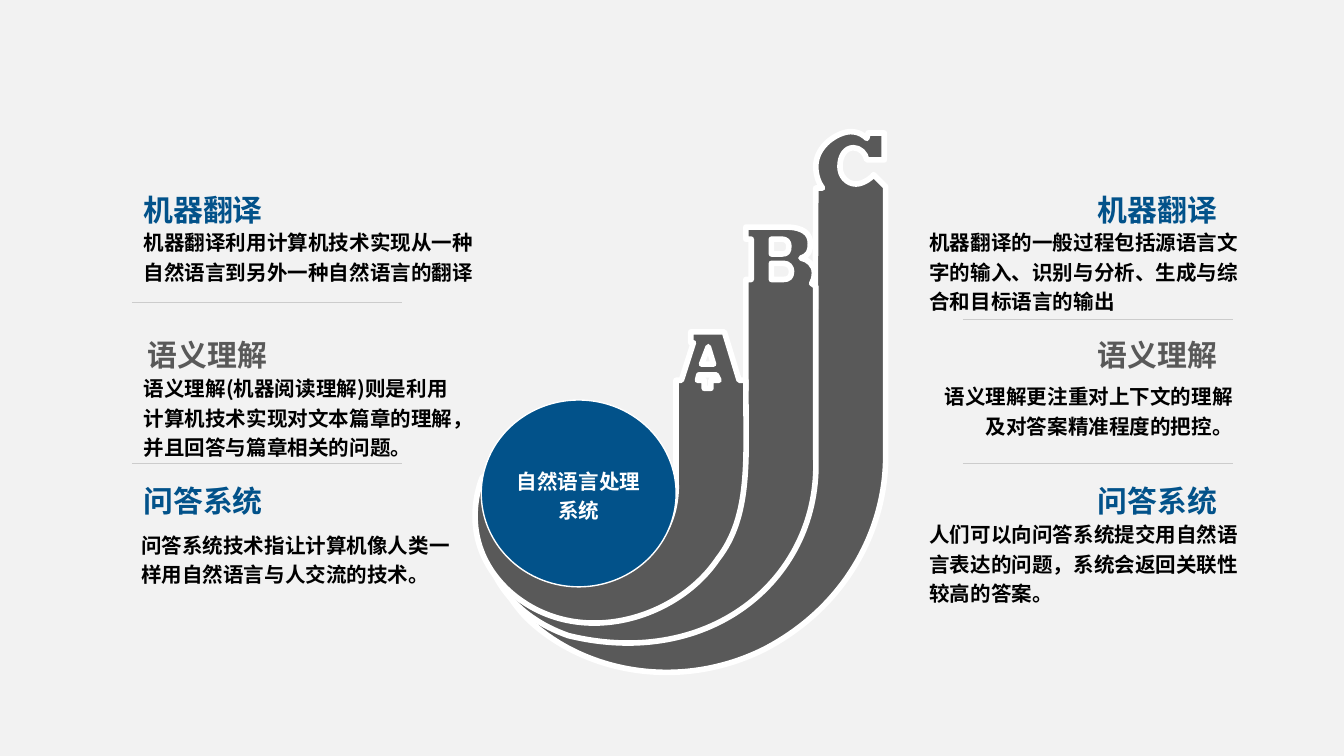
from dataclasses import dataclass

from lxml import etree
from pptx import Presentation
from pptx.dml.color import RGBColor
from pptx.enum.shapes import MSO_CONNECTOR, MSO_SHAPE
from pptx.enum.text import MSO_ANCHOR, PP_ALIGN
from pptx.oxml.ns import qn
from pptx.util import Pt

LEFT, CENTER, RIGHT = PP_ALIGN.LEFT, PP_ALIGN.CENTER, PP_ALIGN.RIGHT
STRAIGHT, OVAL, RECTANGLE = MSO_CONNECTOR.STRAIGHT, MSO_SHAPE.OVAL, MSO_SHAPE.RECTANGLE
MIDDLE, TOP = MSO_ANCHOR.MIDDLE, MSO_ANCHOR.TOP

BLUE, GRAY, WHITE, BLACK = "02528A", "595959", "FFFFFF", "000000"
RULE, BACKDROP = "CCCCCC", "F2F2F2"
LATIN, CJK = "Calibri", "Noto Sans CJK SC"
GRID = 0.72  # points per unit of the band outlines
ROW_TOP, ROW_PITCH = 102.6, 78
ROW_COLORS = (BLUE, GRAY, BLUE)


@dataclass
class Topic:
    heading: str
    heading_x: float
    body: str
    body_box: tuple
    body_align: PP_ALIGN = LEFT


@dataclass
class Column:
    heading_align: PP_ALIGN
    topics: list
    rule_x: float
    rule_ys: tuple


@dataclass
class Band:
    """Contours list steps: two numbers are a corner, six a Bézier curve."""
    contours: list
    closed: bool = False


COLUMNS = [
    Column(LEFT, [
        Topic("机器翻译", 77, "机器翻译利用计算机技术实现从一种自然语言到另外一种自然语言的翻译",
              (77, 120.6, 182.2, 50.4)),
        Topic("语义理解", 79.2,
              "语义理解(机器阅读理解)则是利用计算机技术实现对文本篇章的理解，并且回答与篇章相关的问题。",
              (77, 198.9, 168.5, 59.8)),
        Topic("问答系统", 77, "问答系统技术指让计算机像人类一样用自然语言与人交流的技术。",
              (75.6, 282.8, 172.8, 43.2)),
    ], 70.6, (162.2, 248.4)),
    Column(RIGHT, [
        Topic("机器翻译", 497.9,
              "机器翻译的一般过程包括源语言文字的输入、识别与分析、生成与综合和目标语言的输出",
              (497.9, 120.6, 173.5, 49)),
        Topic("语义理解", 497.9, "语义理解更注重对上下文的理解及对答案精准程度的把控。",
              (498, 203.2, 162.6, 42.5), RIGHT),
        Topic("问答系统", 497.9, "人们可以向问答系统提交用自然语言表达的问题，系统会返回关联性较高的答案。",
              (497.9, 277, 173.5, 49)),
    ], 515.8, (171.2, 248.4)),
]

BAND_C = Band([[
    (659, 139), (650, 130), (650, 131, 643, 137, 637, 137),
    (630, 137, 625, 131, 625, 124), (625, 116, 629, 110, 635, 110),
    (640, 110, 644, 114, 645, 119), (658, 119), (658, 99), (646, 99), (645, 103),
    (644, 102, 640, 98, 633, 98), (624, 98, 607, 108, 607, 124),
    (607, 130, 609, 136, 612, 140), (607, 140), (606, 357), (532, 426),
    (439, 454), (366, 363), (366, 363, 352, 419, 392, 460),
    (433, 500, 505, 515, 569, 483), (632, 450, 659, 391, 659, 340), (659, 139),
]])
BAND_B = Band([
    [(607, 340), (607, 213), (604, 211), (605, 209, 606, 207, 606, 203),
     (606, 197, 601, 193, 596, 192), (602, 190, 603, 187, 603, 181),
     (603, 174, 598, 169, 585, 169), (555, 169), (555, 178), (559, 178),
     (559, 208), (555, 208), (555, 290), (499, 416), (360, 355),
     (360, 355, 338, 443, 423, 473), (530, 499, 611, 429, 607, 340)],
    [(574, 178), (582, 178), (585, 178, 587, 180, 587, 183),
     (587, 187, 586, 189, 582, 189), (574, 189), (574, 178)],
    [(574, 196), (583, 196), (587, 196, 589, 199, 589, 202),
     (589, 206, 587, 208, 583, 208), (574, 208), (574, 196)],
])
BAND_A = Band([
    [(555, 289), (555, 283), (550, 283), (539, 247), (514, 247), (514, 255),
     (516, 255), (507, 283), (503, 283), (503, 358),
     (503, 358, 507, 393, 478, 415), (445, 439, 359, 355, 359, 355),
     (359, 355, 338, 401, 378, 439), (427, 484, 503, 462, 534, 416),
     (559, 384, 555, 341, 555, 289)],
    [(527, 258), (531, 271), (522, 271)],
    [(519, 283), (520, 279), (533, 279), (535, 283), (529, 283), (529, 289),
     (524, 289), (524, 283)],
], closed=True)


def rgb(color: str) -> RGBColor:
    return RGBColor.from_string(color)


def paint(shape, fill: str) -> None:
    shape.shadow.inherit = False
    shape.fill.solid()
    shape.fill.fore_color.rgb = rgb(fill)


def outline(shape, color: str, width: float) -> None:
    shape.line.color.rgb = rgb(color)
    shape.line.width = Pt(width)


def vertices(contour: list) -> list:
    """List corners and curve control points alike, in order."""
    return [point for step in contour for point in zip(step[::2], step[1::2])]


def bend(shape, contours: list) -> None:
    """Merge the three segments through each curve's points into one Bézier."""
    segments = shape._element.iter(qn("a:lnTo"))
    segments = iter(list(segments))
    for contour in contours:
        for step in contour[1:]:
            first = next(segments)
            if len(step) == 6:
                first.tag = qn("a:cubicBezTo")
                for _ in range(2):
                    extra = next(segments)
                    first.append(extra[0])
                    extra.getparent().remove(extra)


def add_band(shapes, band: Band) -> None:
    outer, *holes = [vertices(contour) for contour in band.contours]
    builder = shapes.build_freeform(*outer[0], scale=Pt(GRID))
    builder.add_line_segments(outer[1:], close=band.closed)
    for hole in holes:
        builder.move_to(*hole[0])
        builder.add_line_segments(hole[1:], close=band.closed)
    shape = builder.convert_to_shape()
    bend(shape, band.contours)
    paint(shape, GRAY)
    outline(shape, WHITE, 3)


def write(shape, text: str, size: float, color: str, font: str, align: PP_ALIGN,
          spacing: float = 1, wrap: bool = True, anchor: MSO_ANCHOR = TOP) -> None:
    frame = shape.text_frame
    frame.margin_left = frame.margin_top = frame.margin_right = frame.margin_bottom = 0
    frame.word_wrap = wrap
    frame.vertical_anchor = anchor
    paragraph = frame.paragraphs[0]
    paragraph.alignment = align
    paragraph.line_spacing = spacing
    run = paragraph.add_run()
    run.text = text
    run.font.size = Pt(size)
    run.font.bold = True
    run.font.color.rgb = rgb(color)
    run.font.name = font
    east_asian = etree.Element(qn("a:ea"), typeface=CJK)
    run.font._element.find(qn("a:latin")).addnext(east_asian)


def add_rule(shapes, x: float, y: float) -> None:
    rule = shapes.add_connector(STRAIGHT, Pt(x), Pt(y), Pt(x + 144.7), Pt(y))
    outline(rule, RULE, 0.75)
    etree.SubElement(rule._element.spPr, qn("a:effectLst"))


def add_column(shapes, column: Column) -> None:
    for row, (topic, color) in enumerate(zip(column.topics, ROW_COLORS)):
        body = shapes.add_textbox(*map(Pt, topic.body_box))
        write(body, topic.body, 11, BLACK, CJK, topic.body_align, spacing=1.2)
        heading = shapes.add_textbox(Pt(topic.heading_x), Pt(ROW_TOP + row * ROW_PITCH),
                                     Pt(154), Pt(18))
        write(heading, topic.heading, 16, color, LATIN, column.heading_align, wrap=False)
    for y in column.rule_ys:
        add_rule(shapes, column.rule_x, y)


def main() -> None:
    deck = Presentation()
    deck.slide_width, deck.slide_height = Pt(720), Pt(405)
    shapes = deck.slides.add_slide(deck.slide_layouts[6]).shapes
    backdrop = shapes.add_shape(RECTANGLE, 0, 0, deck.slide_width, deck.slide_height)
    paint(backdrop, BACKDROP)
    backdrop.line.fill.background()
    for band in (BAND_C, BAND_B, BAND_A):
        add_band(shapes, band)
    hub = shapes.add_shape(OVAL, Pt(257.8), Pt(214.3), Pt(104.4), Pt(100.1))
    paint(hub, BLUE)
    outline(hub, WHITE, 0.75)
    write(hub, "自然语言处理系统", 11, WHITE, LATIN, CENTER, spacing=1.2, anchor=MIDDLE)
    for column in COLUMNS:
        add_column(shapes, column)
    deck.save("out.pptx")


if __name__ == "__main__":
    main()
